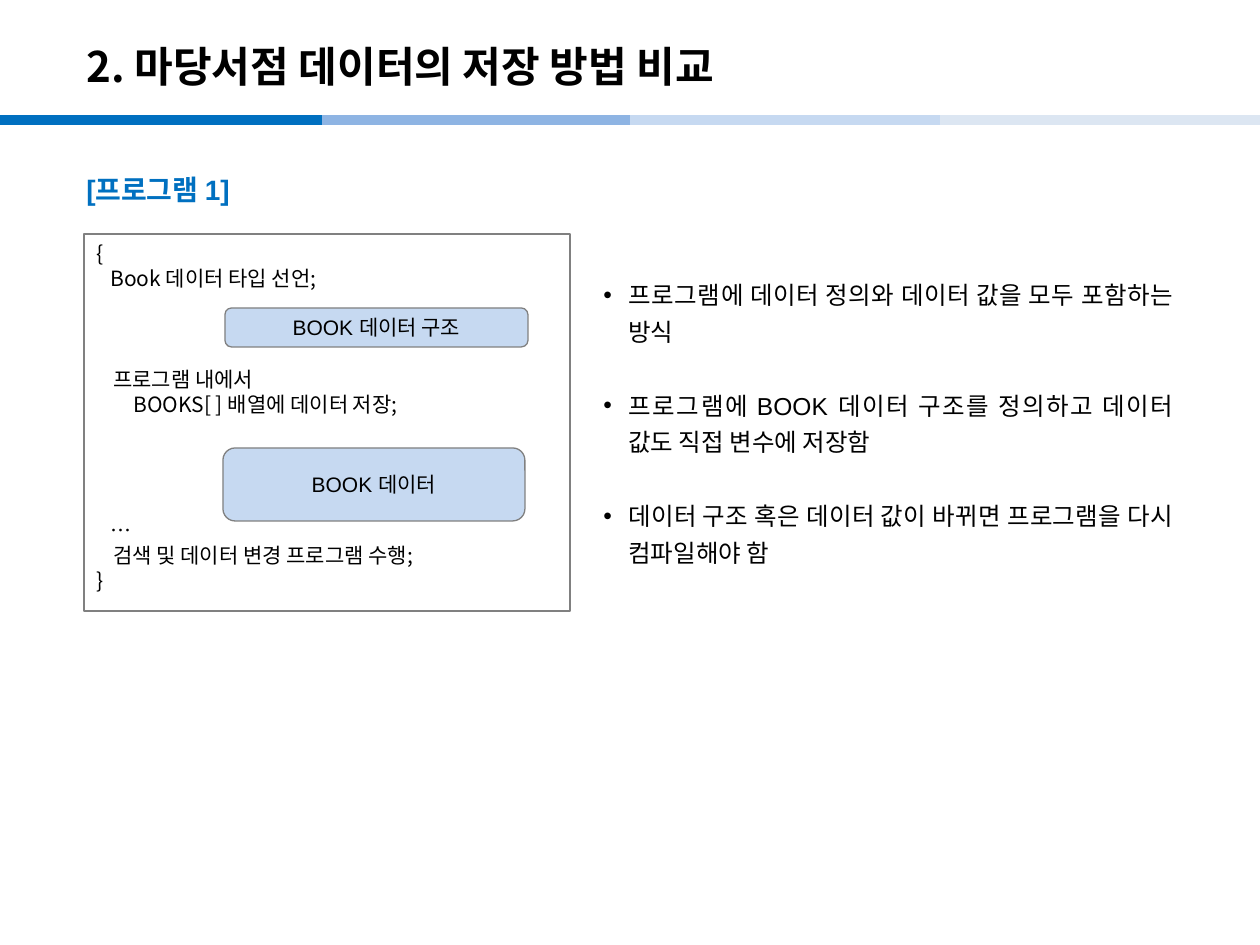
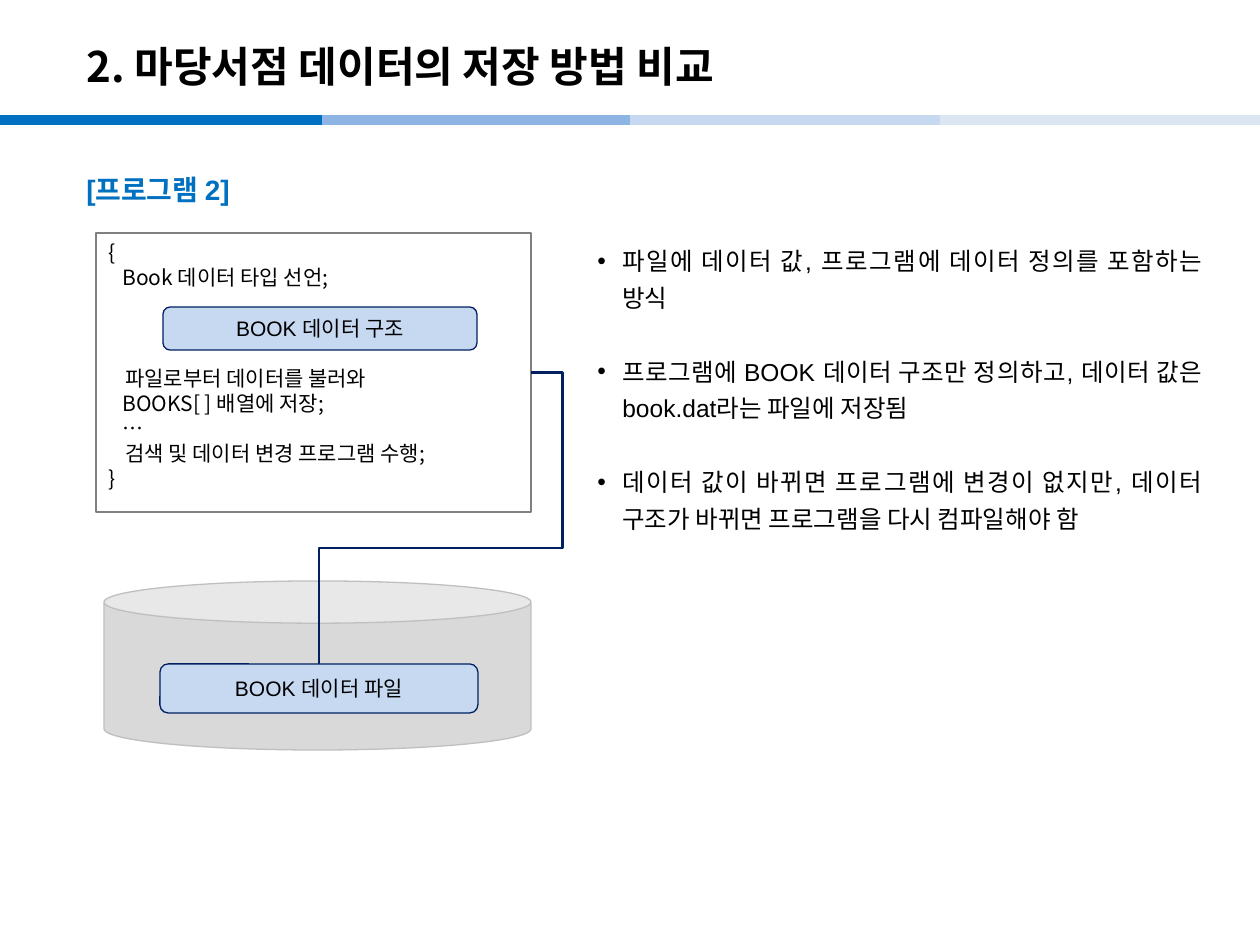
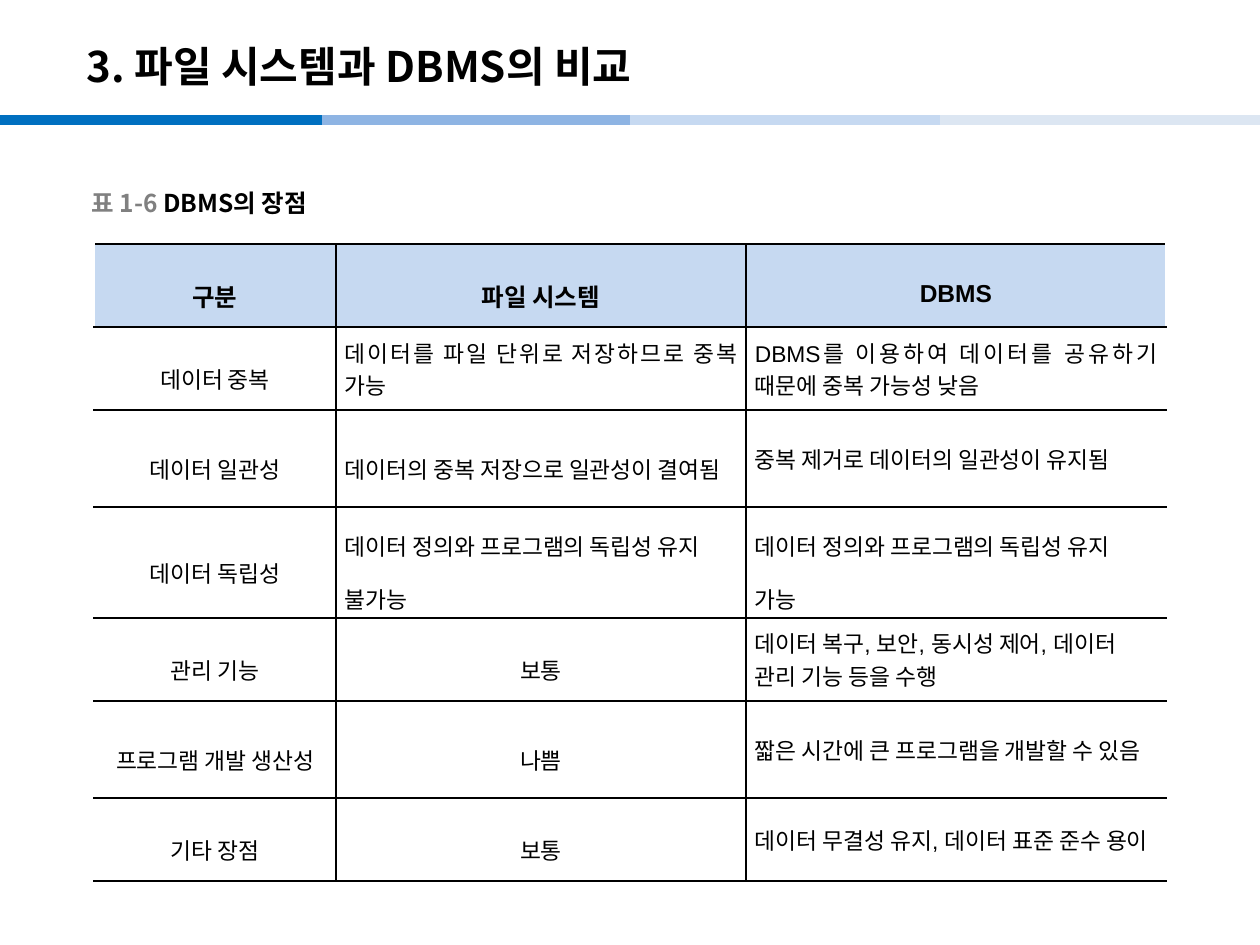
import pptx
import pptx.util
import pptx.dml.color
import pptx.enum.shapes
import pptx.enum.text
import pptx.oxml.ns
import lxml.etree

Pt = pptx.util.Pt
FORM = pptx.enum.shapes.MSO_SHAPE
LINK = pptx.enum.shapes.MSO_CONNECTOR
ALIGN = pptx.enum.text.PP_ALIGN
MID = pptx.enum.text.MSO_ANCHOR.MIDDLE
TOP = pptx.enum.text.MSO_ANCHOR.TOP

HUES = {
    "black": "000000", "white": "FFFFFF", "blue": "0070C0", "sky": "8EB4E3",
    "pale": "C6D9F1", "mist": "DCE6F2", "navy": "002060", "gray": "808080",
    "ash": "D9D9D9", "rim": "BFBFBF",
}
NOTO = "Noto Sans CJK KR"
ARIAL = "Arial"
CODE_STEP = 14.4
LIST_STEP = 21
BAND = [("blue", 0), ("sky", 322), ("pale", 630), ("mist", 940)]
WIDE, HIGH = 1260, 945


def px(num):
    return round(num * 914400 / 126)


def hue(name):
    return pptx.dml.color.RGBColor.from_string(HUES[name])


def sub(node, tag, **attrs):
    return lxml.etree.SubElement(node, pptx.oxml.ns.qn(tag), **attrs)


class Deck:
    def __init__(self):
        self.file = pptx.Presentation()
        self.file.slide_width = px(WIDE)
        self.file.slide_height = px(HIGH)
        self.slide = None

    def page(self, title):
        self.slide = self.file.slides.add_slide(self.file.slide_layouts[5])
        ends = [left for _, left in BAND[1:]] + [WIDE]
        for (tint, left), end in zip(BAND, ends):
            self.line(LINK.STRAIGHT, (left, 120), (end, 120), tint, 6)
        head = self.slide.shapes.title
        head.left, head.top, head.width, head.height = map(px, (74, 28, 1042, 76))
        frame = head.text_frame
        frame.text = title
        frame.auto_size = pptx.enum.text.MSO_AUTO_SIZE.NONE
        frame.vertical_anchor = MID
        frame.paragraphs[0].alignment = ALIGN.LEFT
        self.ink(frame.paragraphs[0], 24, NOTO, bold=True)

    def ink(self, para, size, face=ARIAL, tint="black", bold=False):
        for run in para.runs:
            font = run.font
            font.size, font.bold, font.name = Pt(size), bold, face
            font.color.rgb = hue(tint)
            sub(font._element, "a:ea", typeface=NOTO)

    def line(self, kind, start, end, tint, width):
        link = self.slide.shapes.add_connector(kind, *map(px, start + end))
        link.line.color.rgb = hue(tint)
        link.line.width = Pt(width)
        sub(link._element.spPr, "a:effectLst")
        return link

    def shape(self, kind, box, fill, edge):
        item = self.slide.shapes.add_shape(kind, *map(px, box))
        item.shadow.inherit = False
        item.fill.solid()
        item.fill.fore_color.rgb = hue(fill)
        item.line.color.rgb = hue(edge)
        item.line.width = Pt(0.75)
        return item

    def label(self, text, box, edge):
        item = self.shape(FORM.ROUNDED_RECTANGLE, box, "pale", edge)
        frame = item.text_frame
        frame.text = text
        frame.vertical_anchor = MID
        frame.paragraphs[0].alignment = ALIGN.CENTER
        self.ink(frame.paragraphs[0], 12)
        return item

    def code(self, box, rows):
        item = self.shape(FORM.RECTANGLE, box, "white", "gray")
        frame = item.text_frame
        frame.vertical_anchor = TOP
        frame.text = "\n".join(text for text, _, _ in rows)
        for para, (_, dent, skip) in zip(frame.paragraphs, rows):
            para.alignment = ALIGN.LEFT
            para.line_spacing = Pt(CODE_STEP)
            para.space_before = Pt(skip * CODE_STEP)
            para._p.get_or_add_pPr().set("marL", str(px(dent)))
            self.ink(para, 12, NOTO)
        return item

    def text(self, text, box):
        item = self.slide.shapes.add_textbox(*map(px, box))
        item.text_frame.word_wrap = True
        item.text_frame.text = text
        return item.text_frame

    def topic(self, text):
        para = self.text(text, (74, 150, 1111, 70)).paragraphs[0]
        para.line_spacing = 1.5
        self.ink(para, 16, tint="blue", bold=True)

    def points(self, box, rows, inset=6):
        frame = self.text("\n".join(rows), box)
        frame.margin_top = px(inset)
        for spot, para in enumerate(frame.paragraphs):
            para.alignment = ALIGN.JUSTIFY
            para.line_spacing = Pt(LIST_STEP)
            para.space_before = Pt(LIST_STEP if spot else 0)
            prop = para._p.get_or_add_pPr()
            prop.set("marL", str(px(25)))
            prop.set("indent", str(px(-25)))
            sub(prop, "a:buFont", typeface=ARIAL)
            sub(prop, "a:buChar", char="•")
            self.ink(para, 14)

    def note(self, mark, text, box):
        frame = self.text(mark, box)
        frame.word_wrap = False
        frame.vertical_anchor = MID
        para = frame.paragraphs[0]
        para.add_run().text = text
        self.ink(para, 14, NOTO, bold=True)
        para.runs[0].font.color.rgb = hue("gray")

    def edges(self, cell, sides):
        prop = cell._tc.get_or_add_tcPr()
        for spot, side in enumerate(sides):
            rule = lxml.etree.Element(pptx.oxml.ns.qn("a:ln" + side), w=str(Pt(1)))
            sub(sub(rule, "a:solidFill"), "a:srgbClr", val=HUES["black"])
            prop.insert(spot, rule)

    def table(self, spot, cols, highs, rows):
        size = (sum(cols), sum(highs))
        grid = self.slide.shapes.add_table(len(rows), len(cols), *map(px, spot + size)).table
        grid.first_row = grid.horz_banding = False
        for col, width in zip(grid.columns, cols):
            col.width = px(width)
        for row, high in zip(grid.rows, highs):
            row.height = px(high)
        for down, (modes, *texts) in enumerate(rows):
            for across, (mode, text) in enumerate(zip(modes, texts)):
                cell = grid.cell(down, across)
                cell.text = text
                cell.vertical_anchor = MID
                cell.margin_left = px(9)
                cell.margin_right = px(14 if mode == "W" else 9)
                cell.margin_top = cell.margin_bottom = px(2)
                para = cell.text_frame.paragraphs[0]
                para.alignment = {"C": ALIGN.CENTER, "J": ALIGN.JUSTIFY}.get(mode, ALIGN.LEFT)
                if mode in "CW":
                    para.line_spacing = 1.6
                if down:
                    cell.fill.background()
                    self.ink(para, 13)
                else:
                    cell.fill.solid()
                    cell.fill.fore_color.rgb = hue("pale")
                    self.ink(para, 14, ARIAL if text == "DBMS" else NOTO, bold=True)
                inner = ["L"] * (across > 0) + ["R"] * (across < len(cols) - 1)
                self.edges(cell, inner + ["T", "B"])


def main():
    deck = Deck()
    store = "2. 마당서점 데이터의 저장 방법 비교"

    deck.page(store)
    deck.topic("[프로그램 1]")
    deck.points((591, 238, 595, 369), [
        "프로그램에 데이터 정의와 데이터 값을 모두 포함하는 방식",
        "프로그램에 BOOK 데이터 구조를 정의하고 데이터 값도 직접 변수에 저장함",
        "데이터 구조 혹은 데이터 값이 바뀌면 프로그램을 다시 컴파일해야 함",
    ], 35)
    deck.code((84, 234, 486, 377), [
        ("{", 0, 0),
        ("Book 데이터 타입 선언;", 14, 0),
        ("프로그램 내에서", 17, 3),
        ("BOOKS[ ] 배열에 데이터 저장;", 37, 0),
        ("…", 14, 4),
        ("검색 및 데이터 변경 프로그램 수행;", 17, 0),
        ("}", 0, 0),
    ])
    deck.label("BOOK 데이터", (223, 448, 302, 73), "gray")
    deck.label("BOOK 데이터 구조", (225, 308, 303, 39), "gray")

    deck.page(store)
    deck.topic("[프로그램 2]")
    deck.points((585, 233, 630, 310), [
        "파일에 데이터 값, 프로그램에 데이터 정의를 포함하는 방식",
        "프로그램에 BOOK 데이터 구조만 정의하고, 데이터 값은 book.dat라는 파일에 저장됨",
        "데이터 값이 바뀌면 프로그램에 변경이 없지만, 데이터 구조가 바뀌면 프로그램을 다시 컴파일해야 함",
    ])
    code = deck.code((96, 233, 435, 279), [
        ("{", 0, 0),
        ("Book 데이터 타입 선언;", 14, 0),
        ("파일로부터 데이터를 불러와", 17, 3),
        ("BOOKS[ ] 배열에 저장;", 14, 0),
        ("…", 14, 0),
        ("검색 및 데이터 변경 프로그램 수행;", 17, 0),
        ("}", 0, 0),
    ])
    deck.shape(FORM.CAN, (104, 581, 427, 169), "ash", "rim").adjustments[0] = 0.25
    data = deck.label("BOOK 데이터 파일", (160, 664, 318, 49), "navy")
    deck.label("BOOK 데이터 구조", (163, 307, 314, 43), "navy")
    link = deck.line(LINK.ELBOW, (531, 373), (319, 664), "navy", 1.5)
    link.begin_connect(code, 3)
    link.end_connect(data, 0)
    geom = link._element.spPr.find(pptx.oxml.ns.qn("a:prstGeom"))
    geom.set("prst", "bentConnector4")
    bends = geom.find(pptx.oxml.ns.qn("a:avLst"))
    for name, size in [("adj1", -14800), ("adj2", 60200)]:
        sub(bends, "a:gd", name=name, fmla=f"val {size}")

    deck.page("3. 파일 시스템과 DBMS의 비교")
    deck.note("표 1-6 ", "DBMS의 장점", (79, 183, 258, 39))
    deck.table((94, 244), [242, 410, 420], [83, 83, 97, 111, 83, 97, 83], [
        ("CCC", "구분", "파일 시스템", "DBMS"),
        ("CJJ", "데이터 중복", "데이터를 파일 단위로 저장하므로 중복 가능",
         "DBMS를 이용하여 데이터를 공유하기 때문에 중복 가능성 낮음"),
        ("CWL", "데이터 일관성", "데이터의 중복 저장으로 일관성이 결여됨",
         "중복 제거로 데이터의 일관성이 유지됨"),
        ("CWW", "데이터 독립성", "데이터 정의와 프로그램의 독립성 유지 불가능",
         "데이터 정의와 프로그램의 독립성 유지 가능"),
        ("CCL", "관리 기능", "보통", "데이터 복구, 보안, 동시성 제어, 데이터 관리 기능 등을 수행"),
        ("CCL", "프로그램 개발 생산성", "나쁨", "짧은 시간에 큰 프로그램을 개발할 수 있음"),
        ("CCL", "기타 장점", "보통", "데이터 무결성 유지, 데이터 표준 준수 용이"),
    ])
    deck.file.save("out.pptx")


if __name__ == "__main__":
    main()
